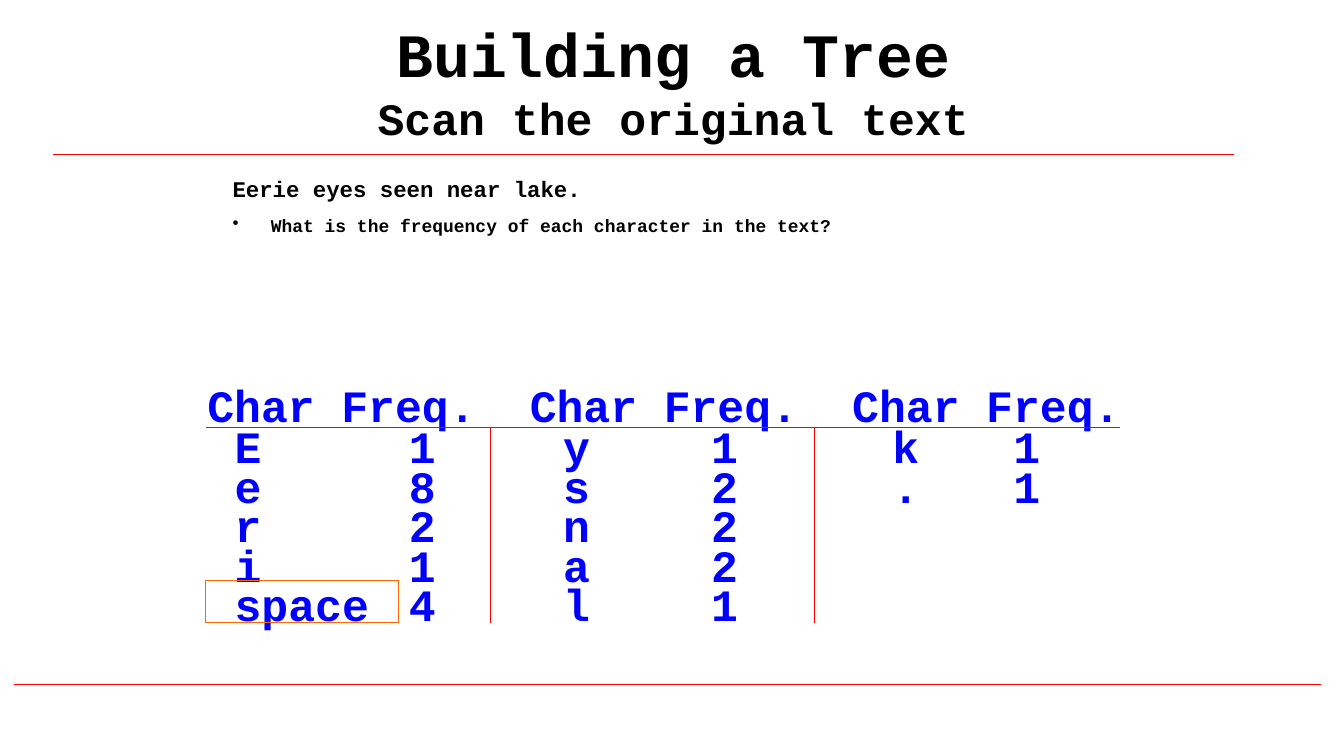
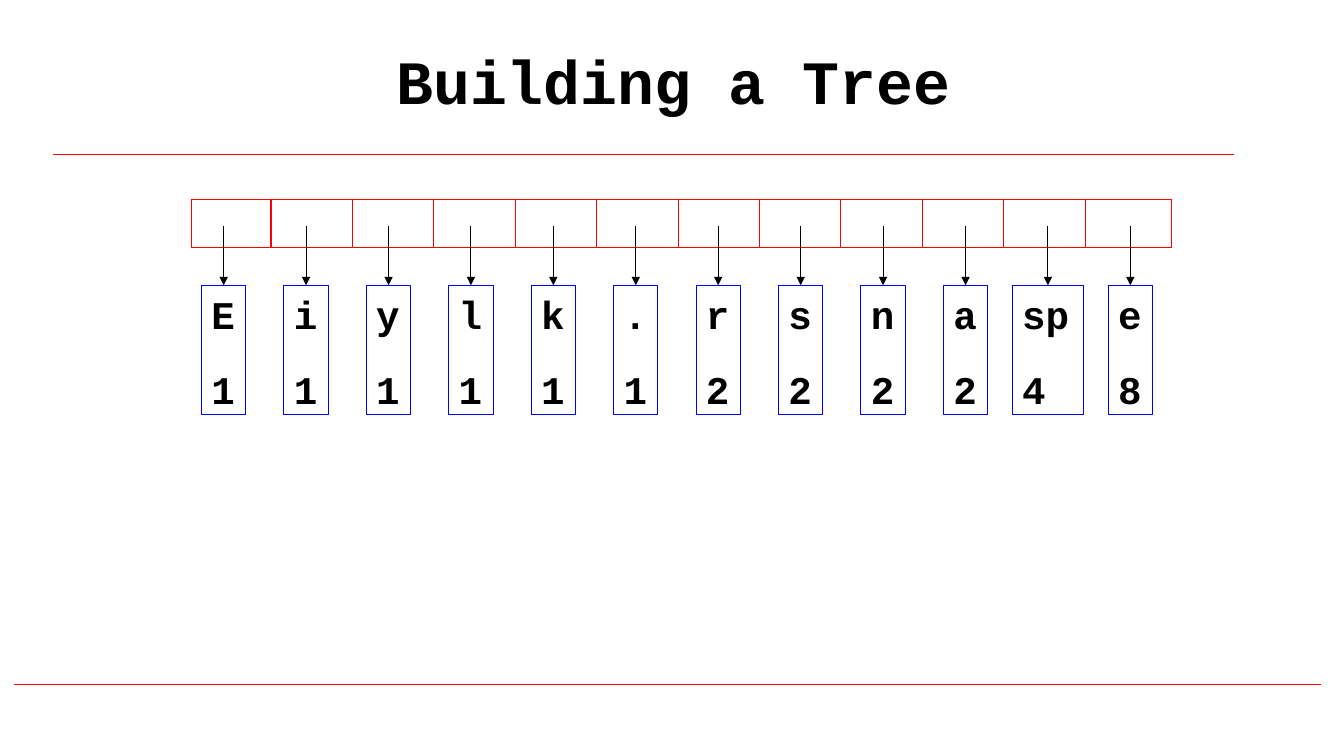
from lxml import etree
from pptx import Presentation
from pptx.dml.color import RGBColor
from pptx.enum.shapes import MSO_CONNECTOR, MSO_SHAPE
from pptx.enum.text import MSO_ANCHOR, MSO_AUTO_SIZE, PP_ALIGN
from pptx.oxml.ns import qn
from pptx.util import Inches, Pt

STRAIGHT = MSO_CONNECTOR.STRAIGHT
RECTANGLE = MSO_SHAPE.RECTANGLE
MIDDLE, TOP = MSO_ANCHOR.MIDDLE, MSO_ANCHOR.TOP
NO_FIT = MSO_AUTO_SIZE.NONE
LEFT, CENTER = PP_ALIGN.LEFT, PP_ALIGN.CENTER

FONT = "Courier New"
BLACK, WHITE, RED, BLUE, ORANGE = "000000", "FFFFFF", "FF0000", "0000FF", "FF6600"
LINE_WIDTH = Pt(0.75)


def paint(color_format, color):
    color_format.rgb = RGBColor.from_string(color)


def add_line(page, x1, y1, x2, y2, color=RED):
    line = page.shapes.add_connector(STRAIGHT, Inches(x1), Inches(y1), Inches(x2), Inches(y2))
    paint(line.line.color, color)
    line.line.width = LINE_WIDTH
    etree.SubElement(line.element.spPr, qn("a:effectLst"))
    return line


deck = Presentation()
deck.slide_width, deck.slide_height = Inches(13.34), Inches(7.5)
layout = deck.slide_layouts[5]

# Titles
pages = []
for title_text in ("Building a Tree\vScan the original text", "Building a Tree"):
    page = deck.slides.add_slide(layout)
    title = page.shapes.title
    title.left, title.top = Inches(1.02), Inches(0.17)
    title.width, title.height = Inches(11.33), Inches(1.25)
    title.text_frame.text = title_text
    title.text_frame.vertical_anchor = MIDDLE
    title.text_frame.auto_size = NO_FIT
    para = title.text_frame.paragraphs[0]
    para.alignment = CENTER
    para.font.name, para.font.size, para.font.bold = FONT, Pt(44), True
    paint(para.font.color, BLACK)
    for span in para.runs[1:]:
        span.font.size = Pt(32)
    pages.append(page)
scan_page, queue_page = pages

# Red rules above and below the content, moved to the shared layout
for x1, x2, y in ((0.53, 12.25, 1.53), (0.14, 13.11, 6.79)):
    layout.shapes.element.append(add_line(scan_page, x1, y, x2, y).element)

# Slide 1: the text to scan and the question
box = scan_page.shapes.add_textbox(Inches(2.21), Inches(1.69), Inches(9.19), Inches(0.75))
frame = box.text_frame
frame.word_wrap = True
frame.text = "Eerie eyes seen near lake.\nWhat is the frequency of each character in the text?"
for para, size in zip(frame.paragraphs, (16, 12.8)):
    para.space_before = Pt(9)
    para.font.name, para.font.size, para.font.bold = FONT, Pt(size), True
    paint(para.font.color, BLACK)
properties = frame.paragraphs[1]._p.get_or_add_pPr()
properties.set("marL", str(Inches(0.38)))
properties.set("indent", str(-Inches(0.38)))
bullet = etree.Element(qn("a:buChar"), char="•")
properties.find(qn("a:defRPr")).addprevious(bullet)

# Slide 1: frequency columns, set on tab stops
HEADER_STOPS = (1.33, 3.2, 4.53, 6.4, 7.73)
ROW_STOPS = (0.27, 2, 3.53, 5, 6.8, 8)
frequency_rows = [
    ("Char", "Freq.", "Char", "Freq.", "Char", "Freq."),
    ("", "E", "1", "y", "1", "k", "1"),
    ("", "e", "8", "s", "2", ".", "1"),
    ("", "r", "2", "n", "2"),
    ("", "i", "1", "a", "2"),
    ("", "space", "4", "l", "1"),
]
box = scan_page.shapes.add_textbox(Inches(1.96), Inches(3.84), Inches(9.65), Inches(2.37))
frame = box.text_frame
frame.word_wrap = True
frame.text = "\n".join("\t".join(row) for row in frequency_rows)
for index, para in enumerate(frame.paragraphs):
    para.line_spacing = 0.5 if index else 0.7
    para.space_before = Pt(9)
    tab_list = etree.SubElement(para._p.get_or_add_pPr(), qn("a:tabLst"))
    for stop in ROW_STOPS if index else HEADER_STOPS:
        etree.SubElement(tab_list, qn("a:tab"), pos=str(Inches(stop)), algn="l")
    para.font.name, para.font.size, para.font.bold = FONT, Pt(32), True
    paint(para.font.color, BLUE)

# Slide 1: column rules and the frame around "space"
add_line(scan_page, 2.04, 4.24, 11.12, 4.24)
for x in (4.87, 8.08):
    add_line(scan_page, x, 4.24, x, 6.18)
space_frame = scan_page.shapes.add_shape(
    RECTANGLE, Inches(2.04), Inches(5.76), Inches(1.92), Inches(0.42))
space_frame.shadow.inherit = False
space_frame.fill.background()
paint(space_frame.line.color, ORANGE)
space_frame.line.width = LINE_WIDTH

# Slide 2: queue bar with its dividers
queue = [("E", 1), ("i", 1), ("y", 1), ("l", 1), ("k", 1), (".", 1),
         ("r", 2), ("s", 2), ("n", 2), ("a", 2), ("sp", 4), ("e", 8)]
bar = queue_page.shapes.add_shape(
    RECTANGLE, Inches(1.9), Inches(1.98), Inches(9.73), Inches(0.48))
bar.shadow.inherit = False
bar.fill.solid()
paint(bar.fill.fore_color, WHITE)
paint(bar.line.color, RED)
bar.line.width = LINE_WIDTH
divider_gap = (10.77 - 2.69) / (len(queue) - 2)
for index in range(len(queue) - 1):
    x = 2.69 + index * divider_gap
    add_line(queue_page, x, 1.98, x, 2.46)

# Slide 2: one node per character, each with an arrow from the bar
node_gap = 9 / (len(queue) - 1)
for index, (character, frequency) in enumerate(queue):
    center = 2.22 + index * node_gap
    width = 0.44 if len(character) == 1 else 0.71
    node = queue_page.shapes.add_shape(
        RECTANGLE, Inches(center - width / 2), Inches(2.83), Inches(width), Inches(1.28))
    node.shadow.inherit = False
    node.fill.background()
    paint(node.line.color, BLUE)
    node.line.width = LINE_WIDTH
    frame = node.text_frame
    frame.word_wrap = True
    frame.vertical_anchor = TOP
    frame.text = f"{character}\n{frequency}"
    for para in frame.paragraphs:
        para.alignment = LEFT
        para.space_before = Pt(20)
        para.font.name, para.font.size, para.font.bold = FONT, Pt(28), True
        paint(para.font.color, BLACK)
    arrow = add_line(queue_page, center, 2.24, center, 2.83, BLACK)
    arrow.end_connect(node, 0)
    etree.SubElement(arrow.element.spPr.find(qn("a:ln")), qn("a:tailEnd"), type="triangle")

deck.save("out.pptx")
